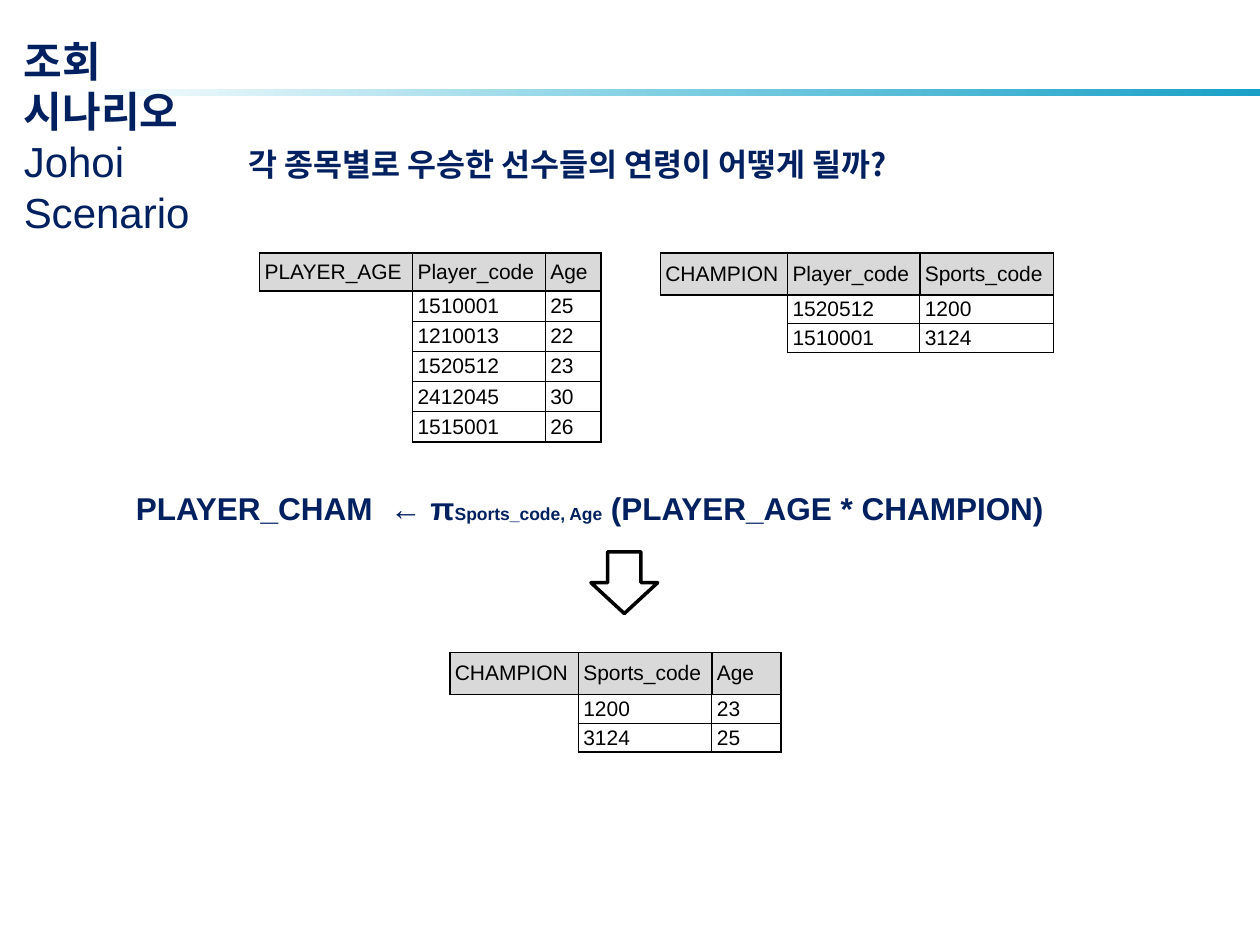
import pptx
import pptx.dml.color
import pptx.enum.shapes
import pptx.enum.text
import pptx.oxml
import pptx.oxml.ns
import pptx.util
from lxml import etree

KOREAN, LATIN = "Noto Sans CJK KR", "Arial"
NAVY, BLACK, WHITE, GREY = "002060", "000000", "FFFFFF", "D9D9D9"
NO_STYLE = "{2D5ABB26-0587-4C30-8999-92F81FD0307C}"
SLIDE_W, SLIDE_H = pptx.util.Inches(10), pptx.util.Inches(7.5)
qn = pptx.oxml.ns.qn


def color(value):
    return pptx.dml.color.RGBColor.from_string(value)


def place(x, y, w, h):
    """Turn percentages of the slide into a box."""
    return [round(share * size / 100) for share, size in
            zip((x, y, w, h), (SLIDE_W, SLIDE_H, SLIDE_W, SLIDE_H))]


def style(font, size, name=LATIN, bold=False, tint=NAVY):
    font.size, font.name, font.bold = pptx.util.Pt(size), name, bold
    font.color.rgb = color(tint)
    if name == KOREAN:
        etree.SubElement(font._element, qn("a:ea")).set("typeface", name)


def add_text_box(slide, box):
    tf = slide.shapes.add_textbox(*box).text_frame
    tf.word_wrap = True
    return tf


def add_band(slide, box):
    sp = slide.shapes.add_shape(pptx.enum.shapes.MSO_SHAPE.RECTANGLE, *box)
    sp.shadow.inherit = False
    sp.line.fill.background()
    sp.fill.gradient()
    sp.fill.gradient_angle = 0
    stops = sp._element.spPr.find(".//" + qn("a:gsLst"))
    for stop in list(stops):
        stops.remove(stop)
    for position, value in ((0, WHITE), (50, "7FCFE2"), (100, "1AA0C7")):
        stop = etree.SubElement(stops, qn("a:gs"), pos=str(position * 1000))
        etree.SubElement(stop, qn("a:srgbClr"), val=value)


def add_title(slide, box):
    tf = add_text_box(slide, box)
    lines = (("조회 시나리오", KOREAN, True), ("Johoi", LATIN, False),
             ("Scenario", LATIN, False))
    for i, (text, name, bold) in enumerate(lines):
        p = tf.add_paragraph() if i else tf.paragraphs[0]
        p.text = text
        style(p.font, 24, name, bold)


def add_question(slide, box):
    p = add_text_box(slide, box).paragraphs[0]
    p.text = "각 종목별로 우승한 선수들의 연령이 어떻게 될까?"
    style(p.font, 18, KOREAN, True)


def add_formula(slide, box):
    p = add_text_box(slide, box).paragraphs[0]
    for text, size in (("PLAYER_CHAM  ← π", 18), ("Sports_code, Age", 10),
                       (" (PLAYER_AGE * CHAMPION)", 18)):
        r = p.add_run()
        r.text = text
        style(r.font, size, bold=True)


def add_arrow(slide, box):
    sp = slide.shapes.add_shape(pptx.enum.shapes.MSO_SHAPE.DOWN_ARROW, *box)
    sp.shadow.inherit = False
    sp.fill.background()
    sp.line.color.rgb = color(BLACK)
    sp.line.width = pptx.util.Pt(2)


def set_borders(cell, widths):
    """Draw the left, right, top and bottom edges; a width of 0 hides one."""
    tcPr = cell._tc.get_or_add_tcPr()
    for i, (side, width) in enumerate(zip("LRTB", widths)):
        ln = etree.Element(qn("a:ln" + side), w=str(pptx.util.Pt(width)))
        if width:
            fill = etree.SubElement(ln, qn("a:solidFill"))
            etree.SubElement(fill, qn("a:srgbClr"), val=BLACK)
        else:
            etree.SubElement(ln, qn("a:noFill"))
        tcPr.insert(i, ln)


def fill_cell(cell, text, fill):
    cell.margin_left = cell.margin_right = pptx.util.Inches(0.04)
    cell.margin_top = cell.margin_bottom = 0
    cell.vertical_anchor = pptx.enum.text.MSO_ANCHOR.MIDDLE
    p = cell.text_frame.paragraphs[0]
    style(p.font, 12, tint=BLACK)
    if text:
        p.text = text
        cell.fill.solid()
        cell.fill.fore_color.rgb = color(fill)
    else:
        cell.fill.background()
        etree.SubElement(p._p, qn("a:endParaRPr"), sz="1200")


def add_relation(slide, box, columns, header_share, header, records):
    """A relation: its name and fields on top, records under the fields."""
    rows = [header] + [("",) + record for record in records]
    last_row, last_col = len(rows) - 1, len(header) - 1
    frame = slide.shapes.add_table(len(rows), len(header), *box)
    table = frame.table
    table.first_row = table.horz_banding = False
    table._tbl.tblPr.find(qn("a:tableStyleId")).text = NO_STYLE
    width, height = box[2:]
    for column, share in zip(table.columns, columns):
        column.width = round(width * share / sum(columns))
    header_height = round(height * header_share)
    for i, row in enumerate(table.rows):
        row.height = (header_height if i == 0
                      else round((height - header_height) / last_row))

    for i, values in enumerate(rows):
        for j, text in enumerate(values):
            cell = table.cell(i, j)
            fill_cell(cell, text, WHITE if i else GREY)
            if i == 0:
                widths = (1, 1, 1, 1)
            elif j == 0:
                widths = (0, 1, 1 if i == 1 else 0, 0)
            else:
                widths = [1 if outer else 0.75 for outer in
                          (j == 1, j == last_col, i == 1, i == last_row)]
            set_borders(cell, widths)


def main():
    prs = pptx.Presentation()
    prs.slide_width, prs.slide_height = SLIDE_W, SLIDE_H
    slide = prs.slides.add_slide(prs.slide_layouts[6])

    # Heading
    add_band(slide, place(5.5, 9.47, 94.5, 0.67))
    add_title(slide, place(0.9, 3.07, 20.8, 17.47))
    add_question(slide, place(18.7, 14.67, 51.9, 5.33))

    # Relations to be joined
    add_relation(slide, place(20.6, 26.8, 27.1, 20), (121, 105, 44), 0.2,
                 ("PLAYER_AGE", "Player_code", "Age"),
                 [("1510001", "25"), ("1210013", "22"), ("1520512", "23"),
                  ("2412045", "30"), ("1515001", "26")])
    add_relation(slide, place(52.4, 26.8, 31.2, 10.53), (101, 105, 106), 0.42,
                 ("CHAMPION", "Player_code", "Sports_code"),
                 [("1520512", "1200"), ("1510001", "3124")])

    # Query and its result
    add_formula(slide, place(9.8, 51.07, 77.5, 5.33))
    add_arrow(slide, place(46.9, 58.4, 5.3, 6.53))
    add_relation(slide, place(35.7, 69.07, 26.3, 10.53), (102, 106, 55), 0.42,
                 ("CHAMPION", "Sports_code", "Age"),
                 [("1200", "23"), ("3124", "25")])

    prs.save("out.pptx")


if __name__ == "__main__":
    main()
